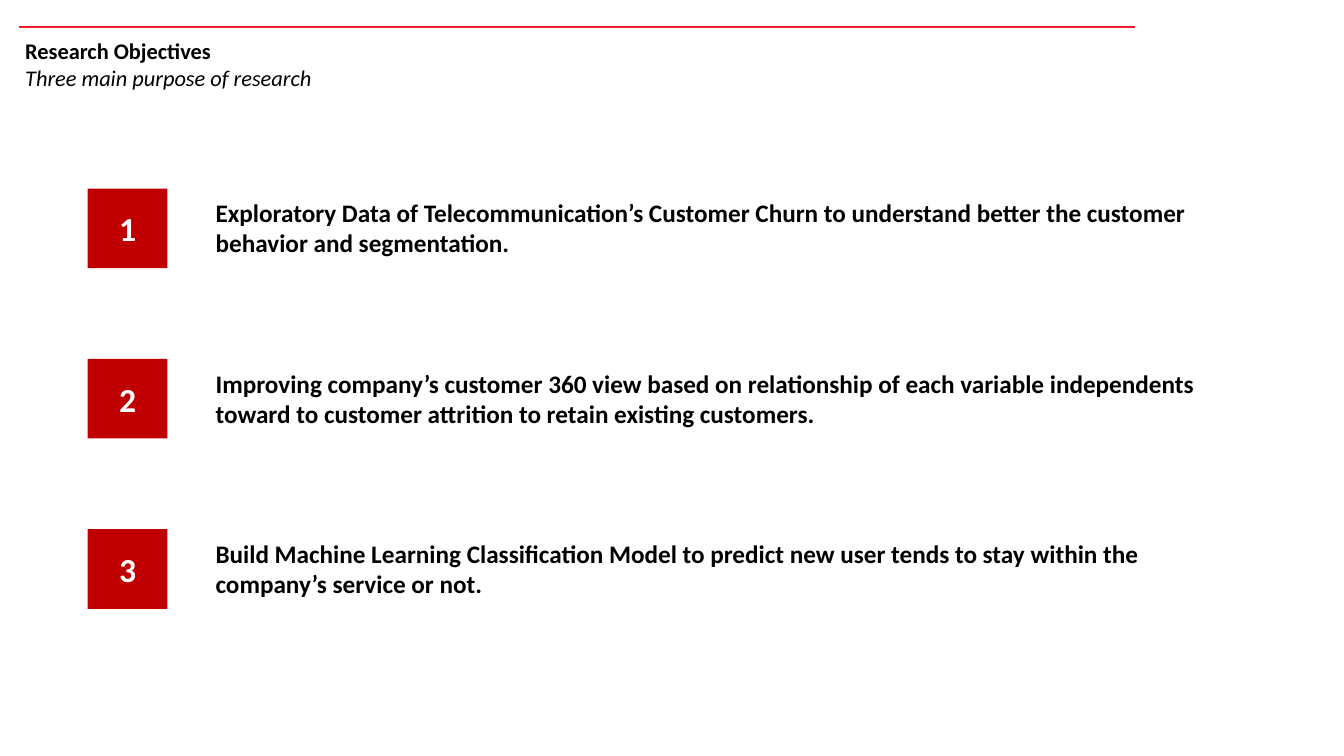
from lxml import etree
from pptx import Presentation
from pptx.dml.color import RGBColor
from pptx.enum.shapes import MSO_CONNECTOR, MSO_SHAPE
from pptx.enum.text import MSO_ANCHOR, MSO_AUTO_SIZE, PP_ALIGN
from pptx.oxml.ns import qn
from pptx.util import Inches, Pt

BLACK = RGBColor(0x00, 0x00, 0x00)
WHITE = RGBColor(0xFF, 0xFF, 0xFF)
DARK_RED = RGBColor(0xC0, 0x00, 0x00)
BRIGHT_RED = RGBColor(0xEE, 0x1F, 0x28)
RECTANGLE = MSO_SHAPE.RECTANGLE
STRAIGHT = MSO_CONNECTOR.STRAIGHT
TOP, MIDDLE = MSO_ANCHOR.TOP, MSO_ANCHOR.MIDDLE
GROW = MSO_AUTO_SIZE.SHAPE_TO_FIT_TEXT
LEFT, CENTER = PP_ALIGN.LEFT, PP_ALIGN.CENTER

TITLE_ONLY = 5
CELL = Inches(0.1)

HEADING = {"size": Pt(16), "bold": True, "italic": False}
SUBHEADING = {"size": Pt(16), "bold": False, "italic": True}
NUMBER = {"size": Pt(24), "bold": True}
STATEMENT = {"size": Pt(18), "bold": True}

FIRST_ROW = 18.7
ROW_STEP = 16.9
BADGE_SIZE = 7.9
STATEMENT_HEIGHT = 7.1
OBJECTIVES = [
    ("Exploratory Data of Telecommunication’s Customer Churn to understand "
     "better the customer behavior and segmentation.", 101.2),
    ("Improving company’s customer 360 view based on relationship of each "
     "variable independents toward to customer attrition to retain existing "
     "customers.", 103),
    ("Build Machine Learning Classification Model to predict new user tends "
     "to stay within the company’s service or not.", 103),
]


def cells(*counts):
    return [round(count * CELL) for count in counts]


class ObjectivesSlide:
    font_name = "Calibri"

    def __init__(self, deck):
        self.slide = deck.slides.add_slide(deck.slide_layouts[TITLE_ONLY])
        self.shapes = self.slide.shapes

    def wording(self, paragraph, text, style, color=BLACK, alignment=LEFT):
        paragraph.alignment = alignment
        run = paragraph.add_run()
        run.text = text
        for attribute, value in {"name": self.font_name, **style}.items():
            setattr(run.font, attribute, value)
        run.font.color.rgb = color

    def frame(self, holder, anchor, **options):
        text_frame = holder.text_frame
        settings = {"word_wrap": True, "vertical_anchor": anchor, **options}
        for attribute, value in settings.items():
            setattr(text_frame, attribute, value)
        return text_frame

    def title(self, column, row, width, height, heading, subheading):
        title = self.shapes.title
        title.left, title.top, title.width, title.height = cells(
            column, row, width, height)
        text_frame = self.frame(title, TOP, auto_size=GROW)
        self.wording(text_frame.paragraphs[0], heading, HEADING)
        self.wording(text_frame.add_paragraph(), subheading, SUBHEADING)

    def badge(self, column, row, number):
        badge = self.shapes.add_shape(
            RECTANGLE, *cells(column, row, BADGE_SIZE, BADGE_SIZE))
        badge.shadow.inherit = False
        badge.fill.solid()
        badge.fill.fore_color.rgb = DARK_RED
        badge.line.fill.background()
        text_frame = self.frame(badge, MIDDLE)
        self.wording(text_frame.paragraphs[0], str(number), NUMBER, WHITE, CENTER)

    def statement(self, column, row, width, text):
        statement = self.shapes.add_textbox(
            *cells(column, row, width, STATEMENT_HEIGHT))
        text_frame = self.frame(statement, TOP, auto_size=GROW)
        self.wording(text_frame.paragraphs[0], text, STATEMENT)

    def rule(self, start, end, row):
        rule = self.shapes.add_connector(STRAIGHT, *cells(start, row, end, row))
        rule.line.color.rgb = BRIGHT_RED
        rule.line.width = Pt(1.5)
        etree.SubElement(rule._element.spPr, qn("a:effectLst"))


def main():
    deck = Presentation()
    deck.slide_width, deck.slide_height = Inches(13.33), Inches(7.5)
    page = ObjectivesSlide(deck)
    page.title(1.5, 3.2, 112.9, 6.4,
               "Research Objectives", "Three main purpose of research")
    for index, (text, width) in enumerate(OBJECTIVES):
        row = FIRST_ROW + index * ROW_STEP
        page.badge(8.7, row, index + 1)
        page.statement(20.4, row + (BADGE_SIZE - STATEMENT_HEIGHT) / 2, width, text)
    page.rule(1.9, 112.6, 2.7)
    deck.save("out.pptx")


if __name__ == "__main__":
    main()
